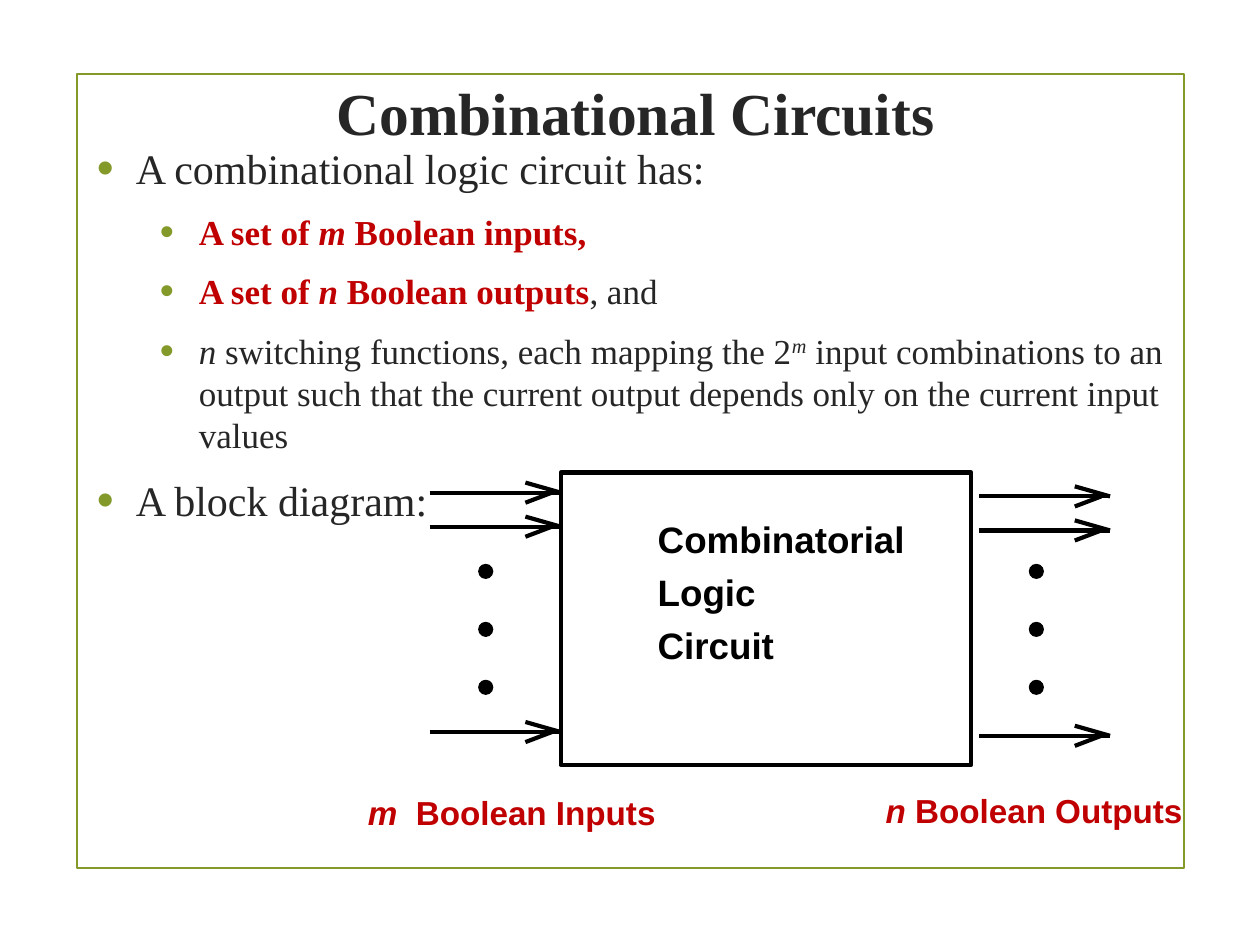
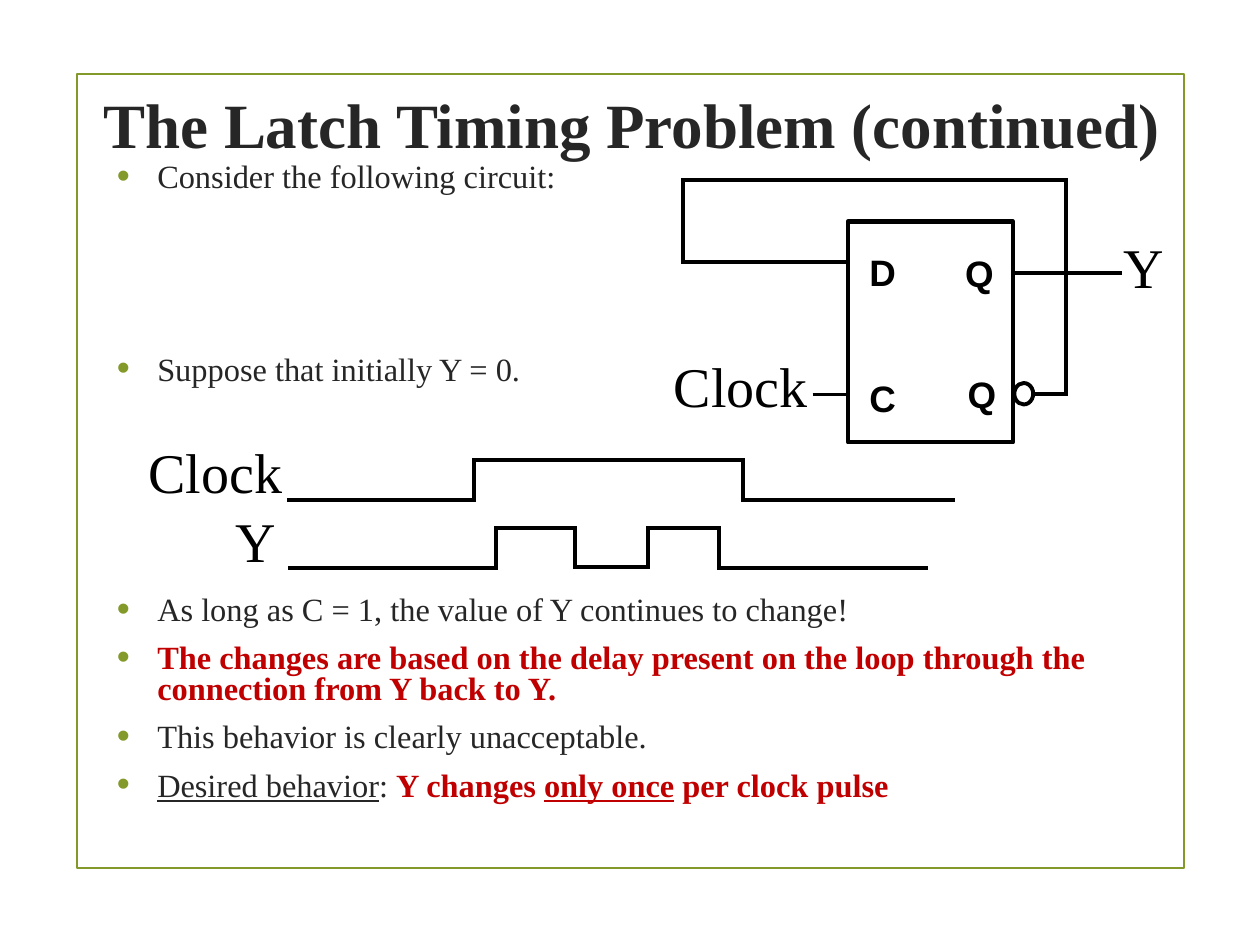
from dataclasses import dataclass
from itertools import pairwise

from lxml import etree
from pptx import Presentation
from pptx import util as u
from pptx.dml.color import RGBColor
from pptx.enum import shapes, text
from pptx.oxml.ns import qn


@dataclass(frozen=True)
class Theme:
    olive: RGBColor = RGBColor(0x83, 0x99, 0x2A)
    ink: RGBColor = RGBColor(0x26, 0x26, 0x26)
    red: RGBColor = RGBColor(0xC0, 0x00, 0x00)
    black: RGBColor = RGBColor(0, 0, 0)
    serif: str = "Times New Roman"
    sans: str = "Arial"
    signal: float = 32
    block: float = 21
    caption: float = 19
    wire: float = 2.25
    arrow: float = 2.38


T = Theme()
PX = 9144


def put_text(sl, box, lines, size, name=T.serif, color=T.ink, bold=None, wrap=False, inset=(10, 5)):
    tf = sl.shapes.add_textbox(*(n * PX for n in box)).text_frame
    tf.word_wrap = wrap
    tf.auto_size = text.MSO_AUTO_SIZE.NONE if wrap else text.MSO_AUTO_SIZE.SHAPE_TO_FIT_TEXT
    tf.margin_left = tf.margin_right = inset[0] * PX
    tf.margin_top = tf.margin_bottom = inset[1] * PX
    for i, runs in enumerate(lines):
        p = tf.add_paragraph() if i else tf.paragraphs[0]
        p.font.size, p.font.name, p.font.bold = u.Pt(size), name, bold
        p.font.color.rgb = color
        for words, marks in runs:
            r = p.add_run()
            r.text = words
            if "b" in marks:
                r.font.bold = True
                r.font.color.rgb = T.red
            if "i" in marks:
                r.font.italic = True
            if "u" in marks:
                r.font.underline = True
            if "^" in marks:
                r._r.get_or_add_rPr().set("baseline", "30000")
            if "w" in marks:
                r._r.get_or_add_rPr().set("spc", "530")
    return tf


def draw_wire(sl, points, width=T.wire, cap="sq"):
    for (x1, y1), (x2, y2) in pairwise(points):
        c = sl.shapes.add_connector(
            shapes.MSO_CONNECTOR.STRAIGHT, x1 * PX, y1 * PX, x2 * PX, y2 * PX)
        c.line.width = u.Pt(width)
        c.line.color.rgb = T.black
        c.line._get_or_add_ln().set("cap", cap)
        etree.SubElement(c._element.spPr, qn("a:effectLst"))


prs = Presentation()
prs.slide_width, prs.slide_height = 1000 * PX, 750 * PX

pages = [
    dict(
        title="Combinational Circuits", title_box=(67, 17, 875, 143), title_size=34,
        body_box=(67, 108, 904, 550), indent=31, spacing=1.0, blank=0,
        body=[
            (0, 24, 0, [("A combinational logic circuit has:", "")]),
            (50, 20, 0, [("A set of ", "b"), ("m", "bi"), (" Boolean inputs,", "b")]),
            (50, 20, 0, [("A set of ", "b"), ("n", "bi"), (" Boolean outputs", "b"), (", and", "")]),
            (50, 20, 0, [
                ("n", "i"), (" switching functions, each mapping the 2", ""), ("m", "i^"),
                (" input combinations to an output such that the current output depends "
                 "only on the current input values", "")]),
            (0, 24, 0, [("A block diagram:", "")]),
        ],
    ),
    dict(
        title="The Latch Timing Problem (continued)", title_box=(67, 42, 869, 112), title_size=36,
        body_box=(83, 125, 850, 550), indent=32, spacing=0.8, blank=27.5,
        body=[
            (0, 18.5, 0, [("Consider the following circuit:", "")]),
            (0, 18.5, 3, [("Suppose that initially Y = 0.", "")]),
            (0, 18.5, 4, [("As long as C = 1, the value of Y continues to change!", "")]),
            (0, 18.5, 0, [("The changes are based on the delay present on the loop through "
                           "the connection from Y back to Y.", "b")]),
            (0, 18.5, 0, [("This behavior is clearly unacceptable.", "")]),
            (0, 18.5, 0, [("Desired behavior", "u"), (": ", ""), ("Y changes ", "b"),
                          ("only once", "bu"), (" per clock pulse", "b")]),
        ],
    ),
]

for page in pages:
    sl = prs.slides.add_slide(prs.slide_layouts[6])
    sp = sl.shapes.add_shape(shapes.MSO_SHAPE.RECTANGLE, 61 * PX, 59 * PX, 879 * PX, 630 * PX)
    sp.shadow.inherit = False
    sp.fill.background()
    sp.line.color.rgb = T.olive
    sp.line.width = u.Pt(1.25)

    tf = put_text(sl, page["title_box"], [[(page["title"], "")]], page["title_size"],
                  bold=True, wrap=True)
    tf.vertical_anchor = text.MSO_ANCHOR.MIDDLE
    tf.paragraphs[0].alignment = text.PP_ALIGN.CENTER

    tf = put_text(sl, page["body_box"], [row[3] for row in page["body"]], 20, wrap=True)
    for p, (shift, size, blanks, _) in zip(tf.paragraphs, page["body"]):
        p.font.size = u.Pt(size)
        p.line_spacing = page["spacing"]
        p.space_before = u.Pt(0.2 * size + blanks * page["blank"])
        p.space_after = u.Pt(6)
        pPr = p._p.get_or_add_pPr()
        pPr.set("marL", str((shift + page["indent"]) * PX))
        pPr.set("indent", str(-page["indent"] * PX))
        bullet = [etree.Element(qn(f"a:{tag}")) for tag in ("buClr", "buSzPct", "buFont", "buChar")]
        etree.SubElement(bullet[0], qn("a:srgbClr")).set("val", str(T.olive))
        bullet[1].set("val", "115000")
        bullet[2].set("typeface", T.sans)
        bullet[3].set("char", "•")
        for el in bullet:
            pPr.find(qn("a:defRPr")).addprevious(el)

circuit, latch = prs.slides

for sl, box, width in [(circuit, (445, 375, 326, 232), T.arrow), (latch, (673, 176, 131, 175), 2.6)]:
    sp = sl.shapes.add_shape(shapes.MSO_SHAPE.RECTANGLE, *(n * PX for n in box))
    sp.shadow.inherit = False
    sp.fill.background()
    sp.line.color.rgb = T.black
    sp.line.width = u.Pt(width)

for tip, top, dots_x in [(445, 391, 380), (881, 394, 817)]:
    for y in (top, top + 27, top + 190):
        draw_wire(circuit, [(tip - 104, y), (tip, y)], T.arrow, "flat")
        draw_wire(circuit, [(tip, y), (tip - 28, y - 8)], T.arrow, "flat")
        draw_wire(circuit, [(tip - 7, y), (tip - 28, y + 8)], T.arrow, "flat")
    for i in range(3):
        sp = circuit.shapes.add_shape(
            shapes.MSO_SHAPE.OVAL, dots_x * PX, (448 + 46 * i) * PX, 11 * PX, 11 * PX)
        sp.shadow.inherit = False
        sp.fill.solid()
        sp.fill.fore_color.rgb = sp.line.color.rgb = T.black
        sp.line.width = u.Pt(0.75)

for box, runs in [
    ((292, 629, 245, 32), [("m", "i"), (" ", "w"), ("Boolean Inputs", "")]),
    ((703, 627, 250, 32), [("n", "i"), (" Boolean Outputs", "")]),
]:
    put_text(circuit, box, [runs], T.caption, T.sans, T.red, True, inset=(0, 0))

for sl, words, box in [
    (circuit, "Combinatorial", (522, 410, 215, 35)),
    (circuit, "Logic", (522, 452, 100, 35)),
    (circuit, "Circuit", (522, 494, 110, 35)),
    (latch, "D", (690, 198, 30, 35)),
    (latch, "C", (690, 298, 30, 35)),
    (latch, "Q", (766, 199, 30, 35)),
    (latch, "Q", (768, 295, 30, 35)),
]:
    put_text(sl, box, [[(words, "")]], T.block, T.sans, T.black, True, inset=(0, 0))

clock_wave = [(229, 397), (376, 397), (376, 365), (590, 365), (590, 397), (756, 397)]
y_wave = [(230, 451), (394, 451), (394, 419), (456, 419), (456, 450),
          (514, 450), (514, 419), (571, 419), (571, 451), (735, 451)]
feedback = [(821, 313), (846, 313), (846, 143), (542, 143), (542, 208), (673, 208)]
q_output = [(804, 217), (889, 217)]
for points in (clock_wave, y_wave, feedback, q_output):
    draw_wire(latch, points)
draw_wire(latch, [(645, 313), (673, 313)], 1.5, "flat")

sp = latch.shapes.add_shape(shapes.MSO_SHAPE.OVAL, 805 * PX, 304 * PX, 15 * PX, 17 * PX)
sp.shadow.inherit = False
sp.fill.background()
sp.line.color.rgb = T.black
sp.line.width = u.Pt(T.wire)

for words, x, y, w in [("Clock", 108, 342, 132), ("Y", 177, 397, 56),
                       ("Y", 882, 180, 56), ("Clock", 525, 274, 132)]:
    put_text(latch, (x, y, w, 63), [[(words, "")]], T.signal, color=T.black)

prs.save("out.pptx")
